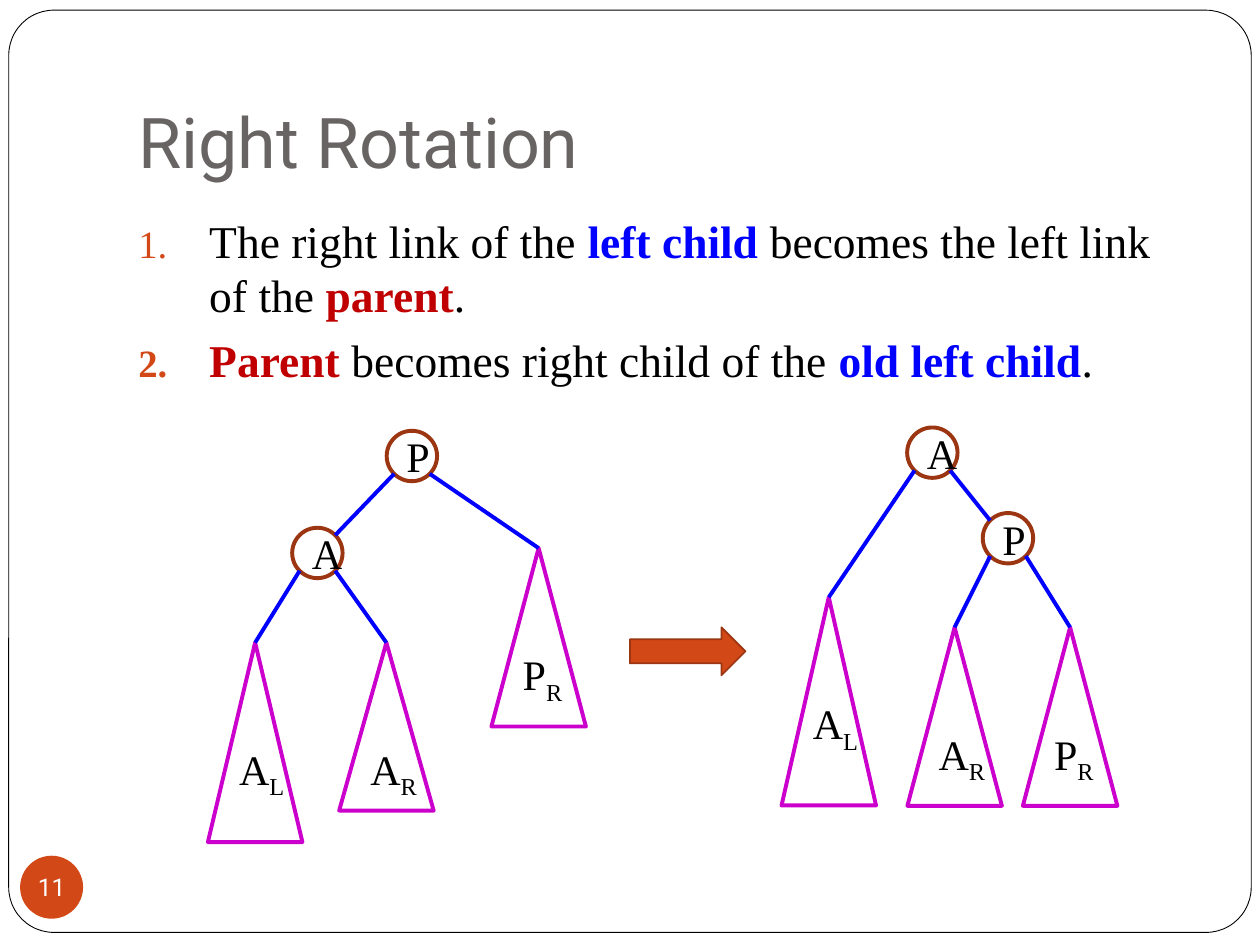
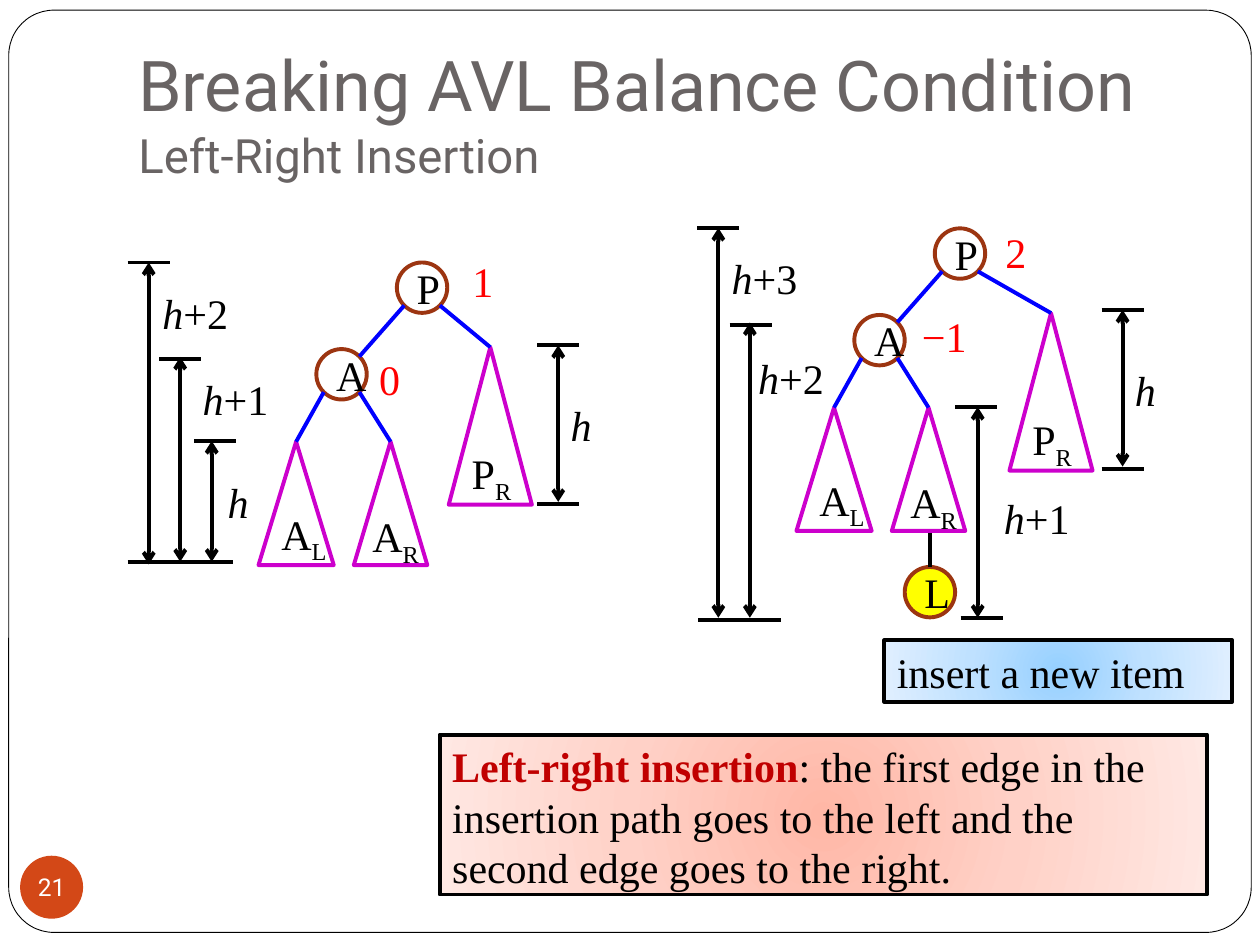
from collections import namedtuple
from dataclasses import dataclass
from math import sqrt

from lxml import etree
from pptx import Presentation
from pptx.dml.color import RGBColor
from pptx.enum.shapes import MSO_CONNECTOR, MSO_SHAPE
from pptx.enum.text import MSO_ANCHOR, MSO_AUTO_SIZE, PP_ALIGN
from pptx.oxml import parse_xml
from pptx.oxml.ns import nsdecls, qn
from pptx.util import Pt


@dataclass(frozen=True)
class Theme:
    heading_font: str = "Roboto"
    text_font: str = "Times New Roman"
    title_size: int = 40
    subtitle_size: int = 27
    body_size: int = 26
    label_size: int = 24
    number_size: int = 14
    heavy: float = 2.25
    white: str = "FFFFFF"
    black: str = "000000"
    title: str = "696464"
    accent: str = "D34817"
    node: str = "9C3511"
    subtree: str = "CC00CC"
    edge: str = "0000FF"
    parent: str = "C00000"
    balance: str = "FF0000"
    new_item: str = "FFFF00"
    blue_glow: tuple = ("96D0FF", "BFE1FF", "E0EFFF")
    red_glow: tuple = ("FFB7A6", "FFD1C7", "FFE8E3")


THEME = Theme()
CHILD = {"color": THEME.edge, "bold": True}
PARENT = {"color": THEME.parent, "bold": True}
RADIUS = 14.4
DIAGONAL = RADIUS / sqrt(2)

Node = namedtuple("Node", "letter x y")
Subtree = namedtuple("Subtree", "letter side x y width height label_dx label_dy")


class Deck:
    def __init__(self, theme):
        self.theme = theme
        self.presentation = Presentation()
        self.presentation.slide_width = Pt(720)
        self.presentation.slide_height = Pt(540)
        self.slide = None

    def new_slide(self, number, title, subtitle=None):
        theme = self.theme
        self.slide = self.presentation.slides.add_slide(self.presentation.slide_layouts[6])
        frame = self.shape(MSO_SHAPE.ROUNDED_RECTANGLE, 5, 5.8, 710, 527,
                           fill=theme.white, line=theme.black, weight=0.5)
        frame.adjustments[0] = 0.049

        heading = {"name": theme.heading_font, "size": theme.title_size, "color": theme.title}
        title_box = self.text(72, 21.6, 612, 90, [(title, heading)], grow=False)
        title_box.vertical_anchor = MSO_ANCHOR.BOTTOM
        title_box.margin_bottom = Pt(7.2)
        if subtitle:
            paragraph = title_box.paragraphs[0]
            paragraph.add_line_break()
            self.add_runs(paragraph, [(subtitle, heading | {"size": theme.subtitle_size})])

        badge = self.shape(MSO_SHAPE.OVAL, 11.5, 489, 36, 36, fill=theme.accent).text_frame
        badge.margin_left = badge.margin_right = badge.margin_top = badge.margin_bottom = 0
        badge.word_wrap = False
        self.add_runs(badge.paragraphs[0], [(str(number), {
            "name": theme.heading_font, "size": theme.number_size, "color": theme.white})])

    def add_runs(self, paragraph, runs):
        """Add (text, format) runs; formats override the label style."""
        base = {"name": self.theme.text_font, "size": self.theme.label_size,
                "color": self.theme.black}
        for words, style in runs:
            run = paragraph.add_run()
            run.text = words
            for key, value in (base | style).items():
                if key == "color":
                    run.font.color.rgb = RGBColor.from_string(value)
                elif key == "baseline":
                    run._r.get_or_add_rPr().set("baseline", str(value * 1000))
                else:
                    setattr(run.font, key, Pt(value) if key == "size" else value)

    def text(self, left, top, width, height, runs, grow=True):
        """Add a text box; a growing one keeps its text on one line."""
        frame = self.slide.shapes.add_textbox(
            Pt(left), Pt(top), Pt(width), Pt(height)).text_frame
        frame.word_wrap = not grow
        frame.auto_size = MSO_AUTO_SIZE.SHAPE_TO_FIT_TEXT if grow else MSO_AUTO_SIZE.NONE
        self.add_runs(frame.paragraphs[0], runs)
        return frame

    def shape(self, kind, left, top, width, height, fill=None, line=None, weight=None):
        shape = self.slide.shapes.add_shape(kind, Pt(left), Pt(top), Pt(width), Pt(height))
        shape.shadow.inherit = False
        if fill:
            shape.fill.solid()
            shape.fill.fore_color.rgb = RGBColor.from_string(fill)
        else:
            shape.fill.background()
        if line:
            shape.line.color.rgb = RGBColor.from_string(line)
            shape.line.width = Pt(weight or self.theme.heavy)
        else:
            shape.line.fill.background()
        shape.text_frame.vertical_anchor = MSO_ANCHOR.MIDDLE
        shape.text_frame.paragraphs[0].alignment = PP_ALIGN.CENTER
        return shape

    def line(self, start, end, color, arrows=False):
        connector = self.slide.shapes.add_connector(
            MSO_CONNECTOR.STRAIGHT, *(Pt(value) for value in (*start, *end)))
        connector.line.color.rgb = RGBColor.from_string(color)
        connector.line.width = Pt(self.theme.heavy)
        if arrows:
            for end_tag in ("a:headEnd", "a:tailEnd"):
                etree.SubElement(connector.line._get_or_add_ln(), qn(end_tag), type="arrow")
        etree.SubElement(connector._element.spPr, qn("a:effectLst"))

    def numbered(self, left, top, width, height, items):
        frame = self.text(left, top, width, height, [], grow=False)
        for index, runs in enumerate(items):
            paragraph = frame.add_paragraph() if index else frame.paragraphs[0]
            properties = paragraph._p.get_or_add_pPr()
            properties.set("marL", str(Pt(40.5)))
            properties.set("indent", str(-Pt(40.5)))
            color = etree.SubElement(properties, qn("a:buClr"))
            etree.SubElement(color, qn("a:srgbClr"), val=self.theme.accent)
            etree.SubElement(properties, qn("a:buSzPct"), val="85000")
            etree.SubElement(properties, qn("a:buAutoNum"), type="arabicPeriod")
            if index:
                paragraph.space_before = Pt(5.8)
            self.add_runs(paragraph, [(words, {"size": self.theme.body_size} | style)
                                      for words, style in runs])

    def node(self, node, fill=None):
        circle = self.shape(MSO_SHAPE.OVAL, node.x - RADIUS, node.y - RADIUS,
                            2 * RADIUS, 2 * RADIUS, fill, self.theme.node)
        circle.text_frame.word_wrap = True
        self.add_runs(circle.text_frame.paragraphs[0], [(node.letter, {})])

    def subtree(self, subtree):
        left = subtree.x - subtree.width / 2
        self.shape(MSO_SHAPE.ISOSCELES_TRIANGLE, left, subtree.y,
                   subtree.width, subtree.height, line=self.theme.subtree)
        self.text(left + subtree.label_dx, subtree.y + subtree.label_dy, 41, 35,
                  [(subtree.letter, {}), (subtree.side, {"baseline": -25})])

    def tree(self, root, *children):
        """Draw a node and its children; a child is a subtree or a (node, children) tuple."""
        self.node(root)
        for child in children:
            nested = not isinstance(child, Subtree)
            top = child[0] if nested else child
            side = DIAGONAL if top.x > root.x else -DIAGONAL
            end = (top.x - side, top.y - DIAGONAL) if nested else (top.x, top.y)
            if nested:
                self.tree(*child)
            else:
                self.subtree(child)
            self.line((root.x + side, root.y + DIAGONAL), end, self.theme.edge)

    def spans(self, *spans):
        for x, top, bottom in spans:
            self.line((x, top), (x, bottom), self.theme.black, arrows=True)

    def bars(self, *bars):
        for left, right, y in bars:
            self.line((left, y), (right, y), self.theme.black)

    def height_label(self, left, top, extra=""):
        runs = [("h", {"italic": True})] + ([(extra, {})] if extra else [])
        self.text(left, top, 60 if extra else 33, 35, runs)

    def glow_box(self, left, top, width, height, colors, runs, wrap):
        box = self.shape(MSO_SHAPE.RECTANGLE, left, top, width, height, line=self.theme.black)
        stops = "".join(f'<a:gs pos="{index * 50000}"><a:srgbClr val="{color}"/></a:gs>'
                        for index, color in enumerate(colors))
        gradient = parse_xml(
            f'<a:gradFill {nsdecls("a")} rotWithShape="1"><a:gsLst>{stops}</a:gsLst>'
            '<a:path path="circle"><a:fillToRect l="50000" t="50000" r="50000" b="50000"/>'
            '</a:path></a:gradFill>')
        properties = box._element.spPr
        properties.replace(properties.find(qn("a:noFill")), gradient)
        frame = box.text_frame
        frame.word_wrap = wrap
        frame.auto_size = MSO_AUTO_SIZE.SHAPE_TO_FIT_TEXT
        frame.vertical_anchor = MSO_ANCHOR.TOP
        frame.paragraphs[0].alignment = PP_ALIGN.LEFT
        self.add_runs(frame.paragraphs[0], runs)


def right_rotation(deck):
    deck.new_slide(11, "Right Rotation")
    deck.numbered(72, 118, 612, 356, [
        [("The right link of the ", {}), ("left child", CHILD),
         (" becomes the left link of the ", {}), ("parent", PARENT), (".", {})],
        [("Parent", PARENT), (" becomes right child of the ", {}),
         ("old left child", CHILD), (".", {})],
    ])

    def subtree(letter, side, x, y, height):
        return Subtree(letter, side, x, y, 54, height, 10.8, 54)

    deck.tree(Node("P", 235.4, 260.6),
              (Node("A", 181.4, 316),
               subtree("A", "L", 145.8, 367.2, 114),
               subtree("A", "R", 220.8, 367.2, 96)),
              subtree("P", "R", 307.8, 313.2, 102))
    deck.tree(Node("A", 532.8, 258.7),
              subtree("A", "L", 473.6, 341.3, 119),
              (Node("P", 576, 307.6),
               subtree("A", "R", 545.5, 358.5, 102),
               subtree("P", "R", 611.5, 358.5, 102)))
    deck.shape(MSO_SHAPE.RIGHT_ARROW, 360, 358.5, 66, 27.4,
               fill=THEME.accent, line=THEME.node, weight=1)


def insertion_tree(deck, x, y, right_reach):
    deck.tree(Node("P", x, y),
              (Node("A", x - 46, y + 49.5),
               Subtree("A", "L", x - 72, y + 88, 43, 70.5, 6, 34.5),
               Subtree("A", "R", x - 18, y + 88, 42, 70.5, 3.5, 36)),
              Subtree("P", "R", x + right_reach, y + 34, 47.5, 90, 6, 54))


def right_subtree_height(deck, x, top):
    deck.spans((x, top, top + 89.5))
    deck.bars((x - 12, x + 12, top), (x - 12, x + 12, top + 90.7))
    deck.height_label(x, top + 27.4)


def left_right_insertion(deck):
    deck.new_slide(21, "Breaking AVL Balance Condition", "Left-Right Insertion")

    insertion_tree(deck, 241.2, 164.4, 39)
    deck.spans((85, 150, 322.5), (103, 204, 321), (121, 252, 321))
    deck.bars((73, 97, 150), (91, 115, 205), (111, 135, 252), (73, 133, 321))
    deck.height_label(123, 268.5)
    deck.height_label(108.7, 210, "+1")
    deck.height_label(85.7, 160.6, "+2")
    right_subtree_height(deck, 319, 197.3)

    insertion_tree(deck, 548.6, 144.9, 52)
    deck.node(Node("L", 531.4, 338.4), THEME.new_item)
    deck.line((531.4, 324), (531.4, 304.6), THEME.black)
    deck.spans((410.5, 130.3, 353), (428.5, 184.3, 353), (558.7, 232.6, 353))
    deck.bars((398.5, 422.5, 130.3), (417, 441, 185.8), (399, 446.5, 354.2),
              (546, 570, 232.6), (549, 573, 353))
    deck.height_label(411, 141, "+3")
    deck.height_label(426.2, 198, "+2")
    deck.height_label(566.6, 278, "+1")
    right_subtree_height(deck, 641.5, 177.1)

    for factor, left, top, width in (("0", 209.5, 198.7, 26), ("1", 262.8, 142.6, 26),
                                     ("−1", 519.8, 174.2, 42), ("2", 567.4, 126, 26)):
        deck.text(left, top, width, 36, [(factor, {"color": THEME.balance})])

    deck.glow_box(505.4, 365.8, 198.7, 35.3, THEME.blue_glow,
                  [("insert a new item", {})], wrap=False)
    deck.glow_box(251.3, 419.8, 438.5, 91.4, THEME.red_glow,
                  [("Left-right insertion", PARENT),
                   (": the first edge in the insertion path goes to the left "
                    "and the second edge goes to the right.", {})], wrap=True)


def main():
    deck = Deck(THEME)
    right_rotation(deck)
    left_right_insertion(deck)
    deck.presentation.save("out.pptx")


if __name__ == "__main__":
    main()
